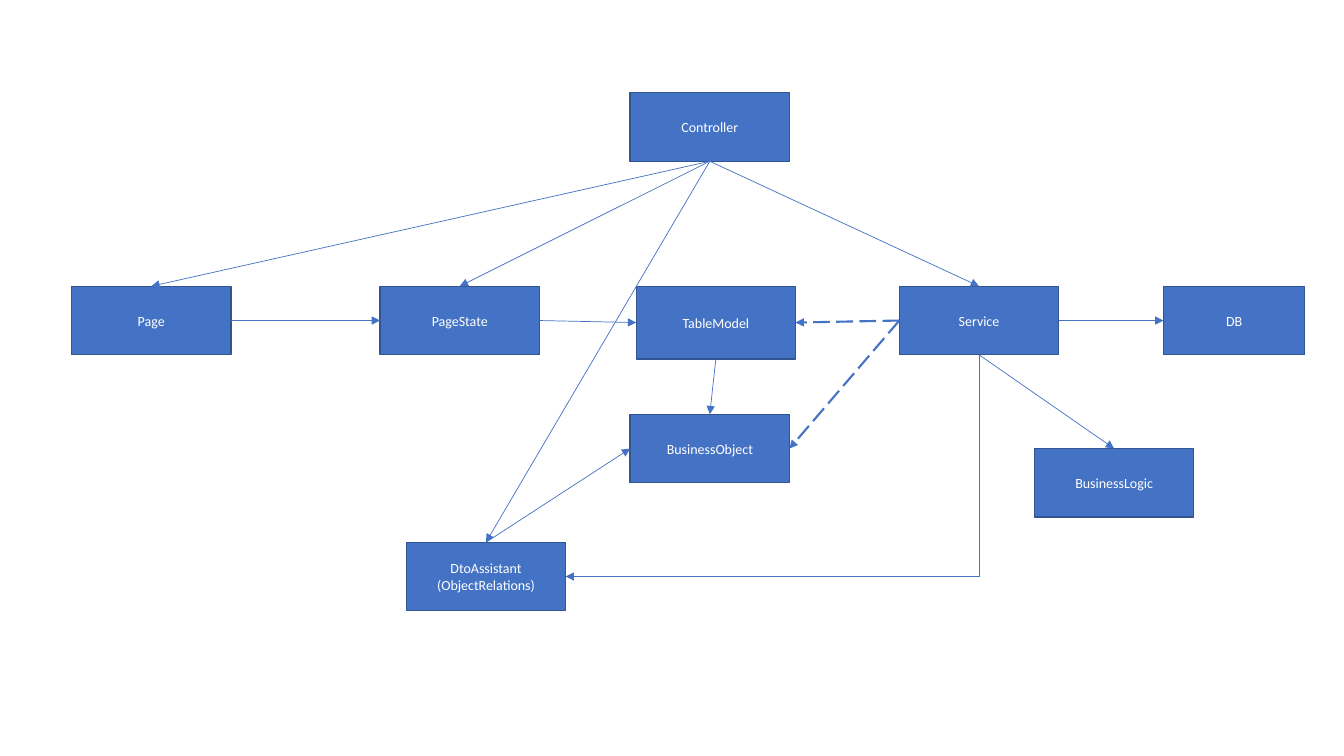
"""Draw the controller, page and service structure as boxes and arrows."""
from dataclasses import dataclass

from lxml import etree
from pptx import Presentation
from pptx.dml.color import RGBColor
from pptx.enum.dml import MSO_LINE
from pptx.enum.shapes import MSO_CONNECTOR, MSO_SHAPE
from pptx.enum.text import MSO_ANCHOR, PP_ALIGN
from pptx.oxml.ns import qn
from pptx.util import Inches, Pt

RECT = MSO_SHAPE.RECTANGLE
STRAIGHT, ELBOW = MSO_CONNECTOR.STRAIGHT, MSO_CONNECTOR.ELBOW
DASH = MSO_LINE.LONG_DASH
CENTER, MIDDLE = PP_ALIGN.CENTER, MSO_ANCHOR.MIDDLE
TOP, LEFT, BOTTOM, RIGHT = range(4)


@dataclass(frozen=True)
class Theme:
    fill: RGBColor = RGBColor.from_string("4472C4")
    edge: RGBColor = RGBColor.from_string("325491")
    text: RGBColor = RGBColor.from_string("FFFFFF")
    font: str = "Calibri"
    size: float = 10
    border: float = 1
    thin: float = 0.5
    thick: float = 1.5


THEME = Theme()
WIDE, HIGH = 13.33, 7.5
BOX_W, BOX_H = 1.58, 0.68

COLS = {"page": 0.71, "state": 3.77, "dto": 4.03, "core": 6.25,
        "table": 6.31, "service": 8.92, "logic": 10.26, "db": 11.54}
ROWS = {"top": 0.92, "main": 2.84, "object": 4.11, "logic": 4.45, "dto": 5.38}

BOXES = [
    (["DB"], "db", "main", 1.4, BOX_H),
    (["TableModel"], "table", "main", BOX_W, 0.72),
    (["DtoAssistant", "(ObjectRelations)"], "dto", "dto", BOX_W, BOX_H),
    (["Service"], "service", "main", BOX_W, BOX_H),
    (["PageState"], "state", "main", BOX_W, BOX_H),
    (["Page"], "page", "main", BOX_W, BOX_H),
    (["BusinessLogic"], "logic", "logic", BOX_W, BOX_H),
    (["BusinessObject"], "core", "object", BOX_W, BOX_H),
    (["Controller"], "core", "top", BOX_W, BOX_H),
]

SOLID = [
    ("TableModel", BOTTOM, "BusinessObject", TOP),
    ("DtoAssistant", TOP, "BusinessObject", LEFT),
    ("Controller", BOTTOM, "Page", TOP),
    ("Controller", BOTTOM, "PageState", TOP),
    ("Controller", BOTTOM, "DtoAssistant", TOP),
    ("PageState", RIGHT, "TableModel", LEFT),
    ("Controller", BOTTOM, "Service", TOP),
    ("Service", BOTTOM, "BusinessLogic", TOP),
    ("Service", RIGHT, "DB", LEFT),
    ("Page", RIGHT, "PageState", LEFT),
]
DASHED = [
    ("Service", LEFT, "TableModel", RIGHT),
    ("Service", LEFT, "BusinessObject", RIGHT),
]
BENT = ("Service", BOTTOM, "DtoAssistant", RIGHT)


def add_box(slide, lines, col, row, wide, high):
    box = slide.shapes.add_shape(RECT, Inches(COLS[col]), Inches(ROWS[row]),
                                 Inches(wide), Inches(high))
    box.shadow.inherit = False
    box.fill.solid()
    box.fill.fore_color.rgb = THEME.fill
    box.line.color.rgb = THEME.edge
    box.line.width = Pt(THEME.border)
    frame = box.text_frame
    frame.word_wrap = True
    frame.vertical_anchor = MIDDLE
    for i, line in enumerate(lines):
        para = frame.add_paragraph() if i else frame.paragraphs[0]
        para.alignment = CENTER
        run = para.add_run()
        run.text = line
        run.font.name = THEME.font
        run.font.size = Pt(THEME.size)
        run.font.color.rgb = THEME.text
    return box


def add_link(slide, boxes, link, kind=STRAIGHT, dashed=False):
    start, out, end, into = link
    line = slide.shapes.add_connector(kind, 0, 0, 0, 0)
    line.begin_connect(boxes[start], out)
    line.end_connect(boxes[end], into)
    line.line.color.rgb = THEME.fill
    line.line.width = Pt(THEME.thick if dashed else THEME.thin)
    if dashed:
        line.line.dash_style = DASH
    props = line._element.spPr
    tip = etree.SubElement(props.find(qn("a:ln")), qn("a:tailEnd"))
    tip.set("type", "triangle")
    etree.SubElement(props, qn("a:effectLst"))
    return line


def bend_once(line):
    """Turn an elbow into one corner that drops down, then runs left."""
    run, drop = line.width, line.height
    mid_x, mid_y = line.left + run // 2, line.top + drop // 2
    props = line._element.spPr
    props.find(qn("a:prstGeom")).set("prst", "bentConnector2")
    frame = props.find(qn("a:xfrm"))
    for flip in ("flipH", "flipV"):
        frame.attrib.pop(flip, None)
    frame.set("rot", str(90 * 60000))
    line.left, line.top = mid_x - drop // 2, mid_y - run // 2
    line.width, line.height = drop, run


def main():
    deck = Presentation()
    deck.slide_width, deck.slide_height = Inches(WIDE), Inches(HIGH)
    slide = deck.slides.add_slide(deck.slide_layouts[6])
    boxes = {spec[0][0]: add_box(slide, *spec) for spec in BOXES}
    for link in SOLID:
        add_link(slide, boxes, link)
    bend_once(add_link(slide, boxes, BENT, ELBOW))
    for link in DASHED:
        add_link(slide, boxes, link, dashed=True)
    deck.save("out.pptx")


if __name__ == "__main__":
    main()
